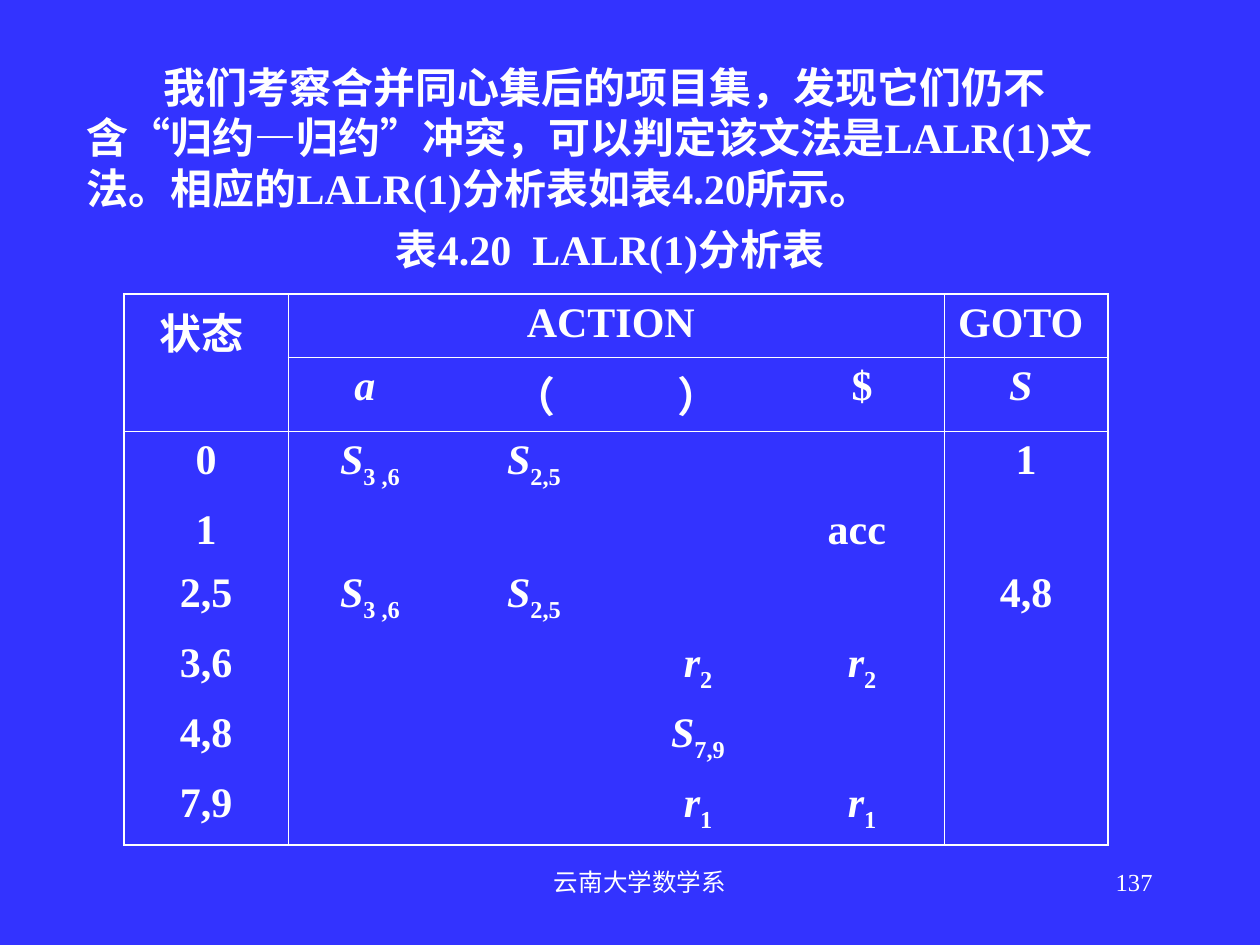
from lxml import etree
from pptx import Presentation
from pptx.dml.color import RGBColor
from pptx.enum.lang import MSO_LANGUAGE_ID
from pptx.enum.text import MSO_ANCHOR, MSO_AUTO_SIZE, PP_ALIGN
from pptx.oxml.ns import qn
from pptx.util import Emu, Pt

LEFT, CENTER, RIGHT = PP_ALIGN.LEFT, PP_ALIGN.CENTER, PP_ALIGN.RIGHT
TOP, NO_AUTOFIT = MSO_ANCHOR.TOP, MSO_AUTO_SIZE.NONE
CHINESE = MSO_LANGUAGE_ID.SIMPLIFIED_CHINESE
BLUE = RGBColor(0x33, 0x33, 0xFF)
WHITE = RGBColor(0xFF, 0xFF, 0xFF)
FONT = "Times New Roman"
EMU_PER_PX = 914400 / 126
PLAIN_TABLE = "{2D5ABB26-0587-4C30-8999-92F81FD0307C}"
OUTER, INNER = 1.08, 0.45

INTRO = ("我们考察合并同心集后的项目集，发现它们仍不含“归约—归约”冲突，"
         "可以判定该文法是LALR(1)文法。相应的LALR(1)分析表如表4.20所示。")
CAPTION = "表4.20  LALR(1)分析表"
PARSE_TABLE = [
    ["状态 ", "ACTION ", "", "", "", "GOTO "],
    ["", "a ", "（", "）", "$", "S "],
    ["0", "S_3 ,6", "S_2,5", "", "", "1"],
    ["1", "", "", "", "acc ", ""],
    ["2,5", "S_3 ,6", "S_2,5", "", "", "4,8"],
    ["3,6", "", "", "r_2", "r_2", ""],
    ["4,8", "", "", "S_7,9", "", ""],
    ["7,9", "", "", "r_1", "r_1", ""],
]
ROW_HEIGHTS = [63, 74, 70, 63, 70, 70, 70, 71]
COLUMN_WIDTH = 164
ROW_RULES = {0: OUTER, 1: INNER, 2: INNER, len(ROW_HEIGHTS): OUTER}
COLUMN_RULES = {0: OUTER, 1: INNER, 5: INNER, 6: OUTER}


def px(length):
    return Emu(round(length * EMU_PER_PX))


def add_text(paragraph, text, size=24, bold=True, italic=False,
             subscript=False, align=CENTER, before=0):
    paragraph.alignment = align
    paragraph.space_before = Pt(before)
    run = paragraph.add_run()
    run.text = text
    font = run.font
    font.name, font.size, font.bold, font.italic = FONT, Pt(size), bold, italic
    font.color.rgb = WHITE
    font.language_id = CHINESE
    if subscript:
        run._r.get_or_add_rPr().set("baseline", "-25000")


def remove_bullet(paragraph, indent=0):
    properties = paragraph._p.get_or_add_pPr()
    properties.set("marL", "0")
    properties.set("indent", str(px(indent)))
    etree.SubElement(properties, qn("a:buNone"))


def add_footer(slide, text, left, width, align):
    footer = slide.shapes.add_textbox(px(left), px(861), px(width), px(63))
    footer.text_frame.word_wrap = True
    add_text(footer.text_frame.paragraphs[0], text, size=14, bold=False,
             align=align)


def fill_body(body):
    body.left, body.top, body.width, body.height = map(px, (74, 55, 1072, 234))
    frame = body.text_frame
    frame.auto_size = NO_AUTOFIT
    frame.vertical_anchor = TOP
    intro, caption = frame.paragraphs[0], frame.add_paragraph()
    remove_bullet(intro, indent=77)
    remove_bullet(caption)
    add_text(intro, INTRO, align=LEFT)
    add_text(caption, CAPTION, before=6)


def write_entry(cell, entry):
    symbol, _, states = entry.partition("_")
    paragraph = cell.text_frame.paragraphs[0]
    add_text(paragraph, symbol, italic=bool(states) or symbol in ("a ", "S "))
    if states:
        add_text(paragraph, states, subscript=True)


def set_borders(cell, row, column):
    properties = cell._tc.get_or_add_tcPr()
    widths = {"a:lnL": COLUMN_RULES.get(column),
              "a:lnR": COLUMN_RULES.get(column + 1),
              "a:lnT": ROW_RULES.get(row),
              "a:lnB": ROW_RULES.get(row + 1)}
    for tag, width in widths.items():
        line = etree.SubElement(properties, qn(tag))
        if width:
            line.set("w", str(Pt(width)))
            fill = etree.SubElement(line, qn("a:solidFill"))
            etree.SubElement(fill, qn("a:srgbClr")).set("val", str(WHITE))
        else:
            etree.SubElement(line, qn("a:noFill"))


def add_parse_table(slide):
    columns = len(PARSE_TABLE[0])
    table = slide.shapes.add_table(
        len(PARSE_TABLE), columns, px(124), px(294),
        px(COLUMN_WIDTH * columns), px(sum(ROW_HEIGHTS))).table
    table.first_row = table.horz_banding = False
    table._tbl.tblPr.find(qn("a:tableStyleId")).text = PLAIN_TABLE
    for column in table.columns:
        column.width = px(COLUMN_WIDTH)
    for table_row, height in zip(table.rows, ROW_HEIGHTS):
        table_row.height = px(height)
    for row, entries in enumerate(PARSE_TABLE):
        for column, entry in enumerate(entries):
            cell = table.cell(row, column)
            set_borders(cell, row, column)
            cell.fill.background()
            if entry:
                write_entry(cell, entry)
    table.cell(0, 0).merge(table.cell(1, 0))
    table.cell(0, 1).merge(table.cell(0, 4))


def main():
    presentation = Presentation()
    presentation.slide_width, presentation.slide_height = px(1260), px(945)
    slide = presentation.slides.add_slide(presentation.slide_layouts[1])
    slide.background.fill.solid()
    slide.background.fill.fore_color.rgb = BLUE
    unused_title = slide.shapes.title._element
    unused_title.getparent().remove(unused_title)
    add_footer(slide, "云南大学数学系", 431, 418, CENTER)
    add_footer(slide, "137", 903, 262, RIGHT)
    fill_body(slide.placeholders[1])
    add_parse_table(slide)
    presentation.save("out.pptx")


if __name__ == "__main__":
    main()
